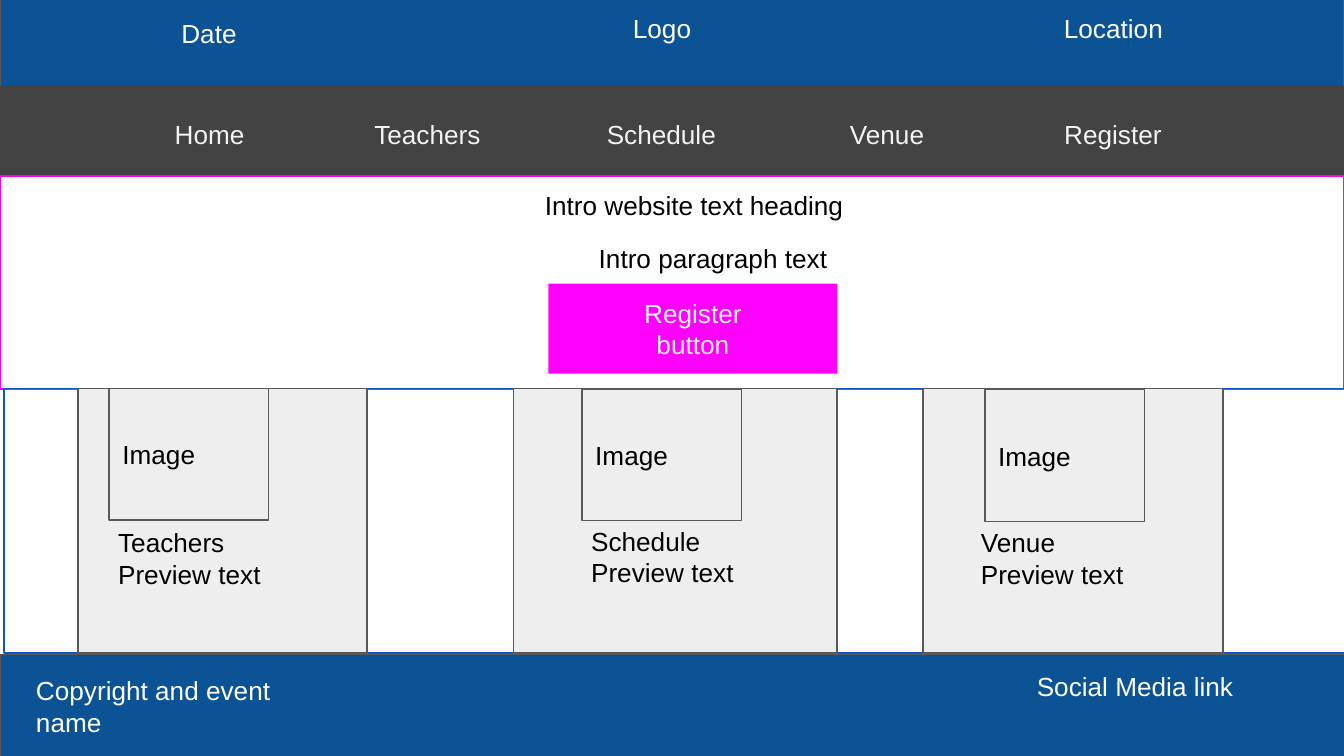
"""Build a wireframe slide for an event website."""
from pptx import Presentation
from pptx.dml.color import RGBColor
from pptx.enum import shapes, text
from pptx.util import Pt

BLUE = RGBColor(0x0B, 0x53, 0x94)
LINK_BLUE = RGBColor(0x11, 0x55, 0xCC)
CHARCOAL = RGBColor(0x43, 0x43, 0x43)
OUTLINE = RGBColor(0x59, 0x59, 0x59)
MAGENTA = RGBColor(0xFF, 0x00, 0xFF)
CARD = RGBColor(0xEE, 0xEE, 0xEE)
PALE = RGBColor(0xF3, 0xF3, 0xF3)
WHITE = RGBColor(0xFF, 0xFF, 0xFF)
BLACK = RGBColor(0, 0, 0)
LEFT, CENTER = text.PP_ALIGN.LEFT, text.PP_ALIGN.CENTER
TOP, MIDDLE = text.MSO_ANCHOR.TOP, text.MSO_ANCHOR.MIDDLE

PREVIEW_TOP = 208.1
PREVIEW_HEIGHT = 141.8


def write(element, wording, color, align=CENTER, anchor=TOP):
    """Put wording into a shape or text box."""
    frame = element.text_frame
    frame.word_wrap = True
    frame.vertical_anchor = anchor
    frame.margin_left = frame.margin_right = Pt(7.2)
    frame.margin_top = frame.margin_bottom = Pt(7.2)
    frame.text = wording
    for paragraph in frame.paragraphs:
        paragraph.alignment = align
        paragraph.font.name = "Arial"
        paragraph.font.size = Pt(14)
        paragraph.font.color.rgb = color


def add_block(slide, box, fill=None, outline=None):
    """Add a rectangle with optional fill and outline."""
    block = slide.shapes.add_shape(
        shapes.MSO_SHAPE.RECTANGLE, *map(Pt, box))
    block.shadow.inherit = False
    if fill is None:
        block.fill.background()
    else:
        block.fill.solid()
        block.fill.fore_color.rgb = fill
    if outline is None:
        block.line.fill.background()
    else:
        block.line.color.rgb = outline
        block.line.width = Pt(0.75)
    return block


def add_label(slide, box, wording, color, align=CENTER):
    """Add a text box."""
    write(slide.shapes.add_textbox(*map(Pt, box)), wording, color, align)


def add_header(slide):
    """Add the top band and the navigation bar."""
    add_block(slide, (0, -0.6, 720, 50.4), BLUE, OUTLINE)
    add_label(slide, (243.4, -0.6, 222.5, 50.4), "Logo", WHITE)
    add_label(slide, (29.5, 2.1, 164.9, 48.3), "Date", WHITE)
    add_label(slide, (494.6, -0.6, 203.8, 50.4), "Location", WHITE)
    add_block(slide, (0, 46, 720, 48.3), CHARCOAL)
    navigation = {"Home": 66.2, "Teachers": 182.9, "Schedule": 308.2,
                  "Venue": 429.1, "Register": 550.1}
    for page, left in navigation.items():
        add_label(slide, (left, 56.2, 92.2, 28.1), page, PALE)


def add_intro(slide):
    """Add the introduction with its register button."""
    add_block(slide, (0, 94.3, 720, 114.2), outline=MAGENTA)
    button = add_block(slide, (293.8, 152, 154.8, 48.2), MAGENTA)
    write(button, "Register\nbutton", PALE)
    add_label(slide, (61.9, 94.3, 619.9, 25.9),
              "Intro website text heading", BLACK)
    add_label(slide, (74.2, 122.4, 615.6, 28.1),
              "Intro paragraph text", BLACK)


def add_footer(slide):
    """Add the bottom band."""
    add_block(slide, (0, 350.6, 722.2, 54.7), BLUE, OUTLINE)
    add_label(slide, (12.2, 354.2, 154.8, 48.2),
              "Copyright and event name", WHITE, LEFT)
    add_label(slide, (506.2, 352.1, 203.8, 50.4), "Social Media link", WHITE)


def add_preview(slide, topic, card_left, card_width, caption_at, image_at):
    """Add a preview card with its image area and caption."""
    add_block(slide, (card_left, PREVIEW_TOP, card_width, PREVIEW_HEIGHT),
              CARD, OUTLINE)
    add_label(slide, (*caption_at, 112.3, 75.6),
              f"{topic}\nPreview text", BLACK, LEFT)
    image = add_block(slide, (*image_at, 85.5, 70.6), CARD, OUTLINE)
    write(image, "Image", BLACK, LEFT, MIDDLE)


def main():
    """Build and save the slide."""
    deck = Presentation()
    deck.slide_width, deck.slide_height = Pt(720), Pt(405)
    slide = deck.slides.add_slide(deck.slide_layouts[6])
    add_header(slide)
    add_intro(slide)
    add_block(slide, (2.2, PREVIEW_TOP, 720, PREVIEW_HEIGHT),
              outline=LINK_BLUE)
    add_footer(slide)
    previews = [
        ("Teachers", 41.8, 154.8, (56.2, 275), (58.5, 208.1)),
        ("Schedule", 275, 173.5, (309.6, 274.3), (311.8, 208.4)),
        ("Venue", 494.6, 160.6, (518.4, 275), (527.6, 208.8)),
    ]
    for preview in previews:
        add_preview(slide, *preview)
    deck.save("out.pptx")


main()
